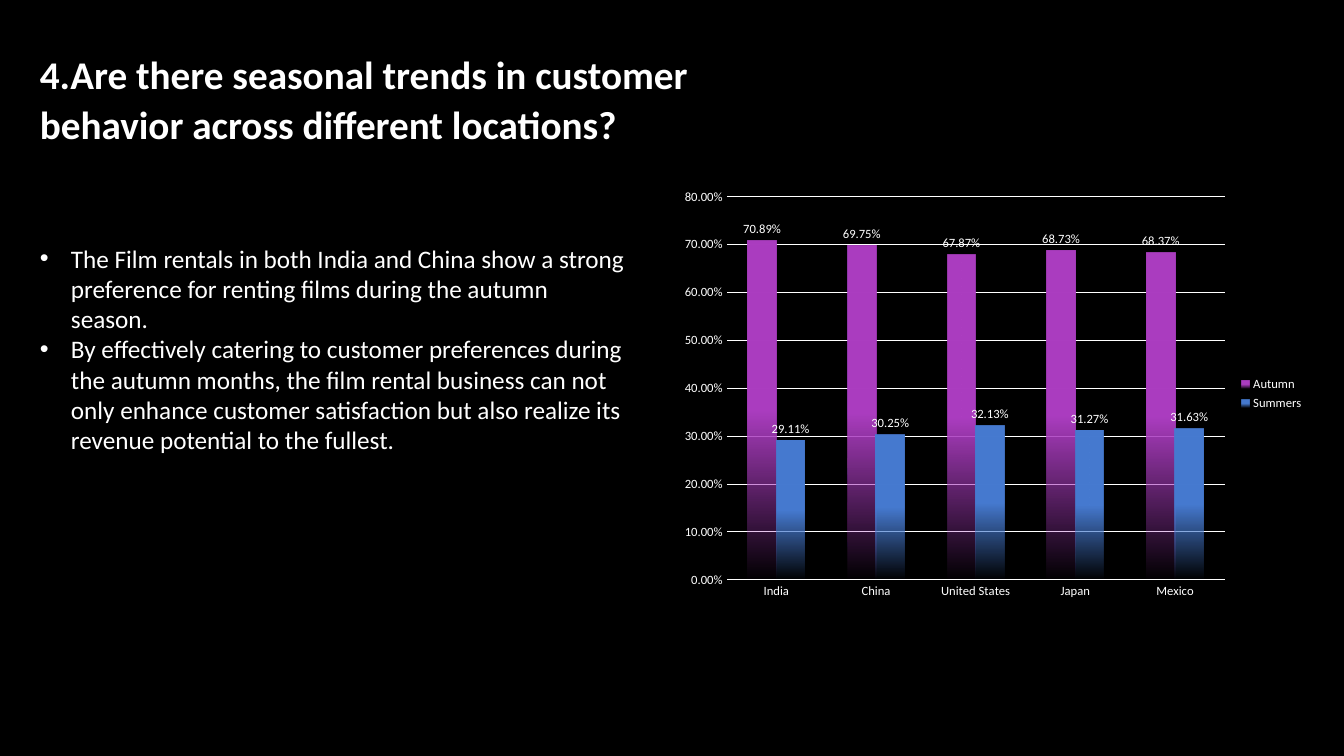
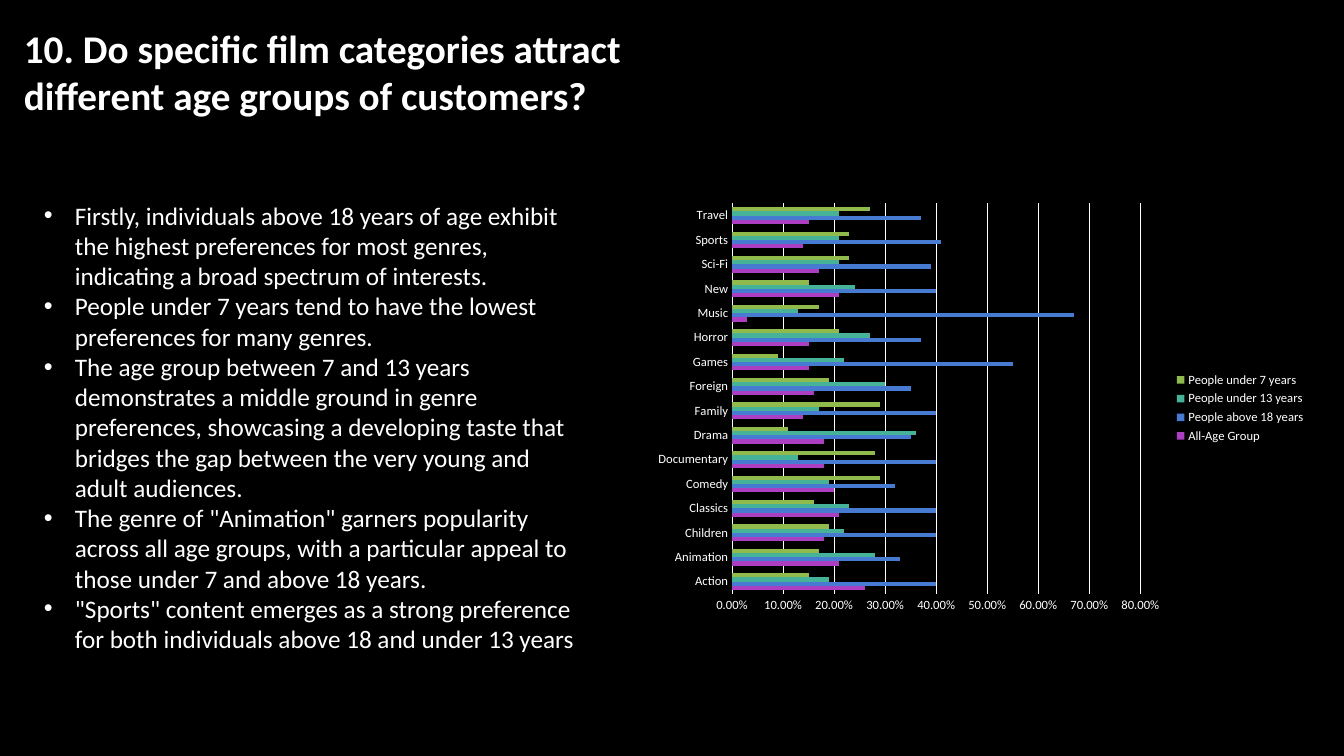
from dataclasses import dataclass

from lxml.etree import SubElement
from pptx import Presentation
from pptx.chart.data import CategoryChartData
from pptx.dml.color import RGBColor as Rgb
from pptx.enum.chart import XL_CHART_TYPE as ChartType
from pptx.enum.chart import XL_LABEL_POSITION as LabelPosition
from pptx.enum.chart import XL_LEGEND_POSITION as LegendPosition
from pptx.enum.chart import XL_TICK_MARK as TickMark
from pptx.oxml.ns import qn
from pptx.util import Emu, Pt

SLIDE_SIZE = (1344, 756)
SCALE = 12192000 / 1344


@dataclass(frozen=True)
class Theme:
    """Colours, type sizes and measures shared by the slides."""
    font: str = "Calibri"
    background: Rgb = Rgb.from_string("000000")
    ink: Rgb = Rgb.from_string("FFFFFF")
    purple: Rgb = Rgb.from_string("AC3EC1")
    blue: Rgb = Rgb.from_string("477BD1")
    teal: Rgb = Rgb.from_string("46B298")
    green: Rgb = Rgb.from_string("90BA4C")
    title_size: int = 28
    body_size: int = 18
    chart_size: int = 10
    label_size: int = 9
    line_width: float = 0.75
    bullet_indent: int = 31
    percent: str = "0.00%"


THEME = Theme()

SEASON_COUNTRIES = ["India", "China", "United States", "Japan", "Mexico"]
SEASON_SHARES = [
    ("Autumn", THEME.purple, [0.7089, 0.6975, 0.6787, 0.6873, 0.6837]),
    ("Summers", THEME.blue, [0.2911, 0.3025, 0.3213, 0.3127, 0.3163]),
]
SEASON_FINDINGS = [
    "The Film rentals in both India and China show a strong preference for renting films "
    "during the autumn season.",
    "By effectively catering to customer preferences during the autumn months, the film rental "
    "business can not only enhance customer satisfaction but also realize its revenue potential "
    "to the fullest.",
]

GENRES = [
    "Action", "Animation", "Children", "Classics", "Comedy", "Documentary", "Drama", "Family",
    "Foreign", "Games", "Horror", "Music", "New", "Sci-Fi", "Sports", "Travel",
]
AGE_SHARES = [
    ("All-Age Group", THEME.purple,
     [0.26, 0.21, 0.18, 0.21, 0.2, 0.18, 0.18, 0.14,
      0.16, 0.15, 0.15, 0.03, 0.21, 0.17, 0.14, 0.15]),
    ("People above 18 years", THEME.blue,
     [0.4, 0.33, 0.4, 0.4, 0.32, 0.4, 0.35, 0.4,
      0.35, 0.55, 0.37, 0.67, 0.4, 0.39, 0.41, 0.37]),
    ("People under 13 years", THEME.teal,
     [0.19, 0.28, 0.22, 0.23, 0.19, 0.13, 0.36, 0.17,
      0.3, 0.22, 0.27, 0.13, 0.24, 0.21, 0.21, 0.21]),
    ("People under 7 years", THEME.green,
     [0.15, 0.17, 0.19, 0.16, 0.29, 0.28, 0.11, 0.29,
      0.19, 0.09, 0.21, 0.17, 0.15, 0.23, 0.23, 0.27]),
]
AGE_FINDINGS = [
    "Firstly, individuals above 18 years of age exhibit the highest preferences for most genres, "
    "indicating a broad spectrum of interests.",
    "People under 7 years tend to have the lowest preferences for many genres.",
    "The age group between 7 and 13 years demonstrates a middle ground in genre preferences, "
    "showcasing a developing taste that bridges the gap between the very young and adult "
    "audiences.",
    'The genre of "Animation" garners popularity across all age groups, with a particular appeal '
    "to those under 7 and above 18 years.",
    '"Sports" content emerges as a strong preference for both individuals above 18 and under '
    "13 years",
]


def px(length):
    """Turn a length in px into EMU."""
    return Emu(round(length * SCALE))


def style_font(font, size, bold=False):
    """Apply the theme typeface and ink at a given size."""
    font.name = THEME.font
    font.size = Pt(size)
    font.bold = bold
    font.color.rgb = THEME.ink


def add_text_frame(slide, box):
    """Add a wrapping text box and return its frame."""
    frame = slide.shapes.add_textbox(*map(px, box)).text_frame
    frame.word_wrap = True
    return frame


def add_title(slide, box, question, line_spacing=None):
    """Place the question that heads a slide."""
    heading = add_text_frame(slide, box).paragraphs[0]
    heading.text = question
    heading.line_spacing = line_spacing
    style_font(heading.font, THEME.title_size, bold=True)


def add_findings(slide, box, findings):
    """Place the bulleted findings."""
    frame = add_text_frame(slide, box)
    for index, finding in enumerate(findings):
        paragraph = frame.add_paragraph() if index else frame.paragraphs[0]
        paragraph.text = finding
        properties = paragraph._p.get_or_add_pPr()
        indent = px(THEME.bullet_indent)
        properties.set("marL", str(indent))
        properties.set("indent", str(-indent))
        SubElement(properties, qn("a:buFont"), typeface="Arial")
        SubElement(properties, qn("a:buChar"), char="•")
        style_font(paragraph.font, THEME.body_size)


def style_line(line):
    """Draw a thin line in the theme ink."""
    line.color.rgb = THEME.ink
    line.width = Pt(THEME.line_width)


def fade_series(series, colour):
    """Fade the lower half of each bar to transparent."""
    fill = series.format.fill
    fill.gradient()
    fill.gradient_angle = 270
    for stop, position in zip(fill.gradient_stops, (0.5, 1)):
        stop.position = position
        stop.color.rgb = colour
    last_colour = series._element.findall(".//" + qn("a:gs"))[-1][0]
    SubElement(last_colour, qn("a:alpha"), val="0")


def label_series(series):
    """Show the percentage above each bar."""
    labels = series.data_labels
    labels.show_value = True
    labels.number_format = THEME.percent
    labels.number_format_is_linked = False
    labels.position = LabelPosition.OUTSIDE_END
    style_font(labels.font, THEME.label_size)


def add_share_chart(slide, box, chart_type, categories, shares, gap):
    """Place a clustered chart of percentages and return it."""
    data = CategoryChartData(number_format=THEME.percent)
    data.categories = categories
    for name, _, values in shares:
        data.add_series(name, values)
    chart = slide.shapes.add_chart(chart_type, *map(px, box), data).chart
    chart.has_title = False
    style_font(chart.font, THEME.chart_size)

    chart.has_legend = True
    chart.legend.position = LegendPosition.RIGHT
    chart.legend.include_in_layout = False
    style_font(chart.legend.font, THEME.label_size)

    for axis in (chart.category_axis, chart.value_axis):
        axis.major_tick_mark = axis.minor_tick_mark = TickMark.NONE
        axis.format.line.fill.background()
        style_font(axis.tick_labels.font, THEME.label_size)
    chart.value_axis.has_major_gridlines = True
    style_line(chart.value_axis.major_gridlines.format.line)
    chart.value_axis.tick_labels.number_format = THEME.percent
    chart.value_axis.tick_labels.number_format_is_linked = False

    plot = chart.plots[0]
    plot.gap_width = gap
    plot.vary_by_categories = False
    for series, (_, colour, _) in zip(plot.series, shares):
        series.format.fill.solid()
        series.format.fill.fore_color.rgb = colour
    return chart


def add_dark_slide(deck):
    """Add a blank slide on the theme background."""
    slide = deck.slides.add_slide(deck.slide_layouts[6])
    slide.background.fill.solid()
    slide.background.fill.fore_color.rgb = THEME.background
    return slide


def build_season_slide(deck):
    """Build the slide on seasonal trends."""
    slide = add_dark_slide(deck)
    add_title(slide, (30, 42, 713, 110),
              "4.Are there seasonal trends in customer behavior across different locations?", 1.07)
    add_findings(slide, (30, 238, 610, 254), SEASON_FINDINGS)
    chart = add_share_chart(slide, (672, 181, 642, 426), ChartType.COLUMN_CLUSTERED,
                            SEASON_COUNTRIES, SEASON_SHARES, 150)
    for series, (_, colour, _) in zip(chart.plots[0].series, SEASON_SHARES):
        fade_series(series, colour)
        label_series(series)


def build_age_slide(deck):
    """Build the slide on film categories by age group."""
    slide = add_dark_slide(deck)
    add_title(slide, (14, 19, 747, 136),
              "10. Do specific film categories attract different age groups of customers?")
    chart = add_share_chart(slide, (645, 195, 671, 426), ChartType.BAR_CLUSTERED,
                            GENRES, AGE_SHARES, 182)
    style_line(chart.category_axis.format.line)
    add_findings(slide, (34, 195, 552, 468), AGE_FINDINGS)


def main():
    """Build and save the presentation."""
    deck = Presentation()
    deck.slide_width, deck.slide_height = map(px, SLIDE_SIZE)
    build_season_slide(deck)
    build_age_slide(deck)
    deck.save("out.pptx")


if __name__ == "__main__":
    main()
